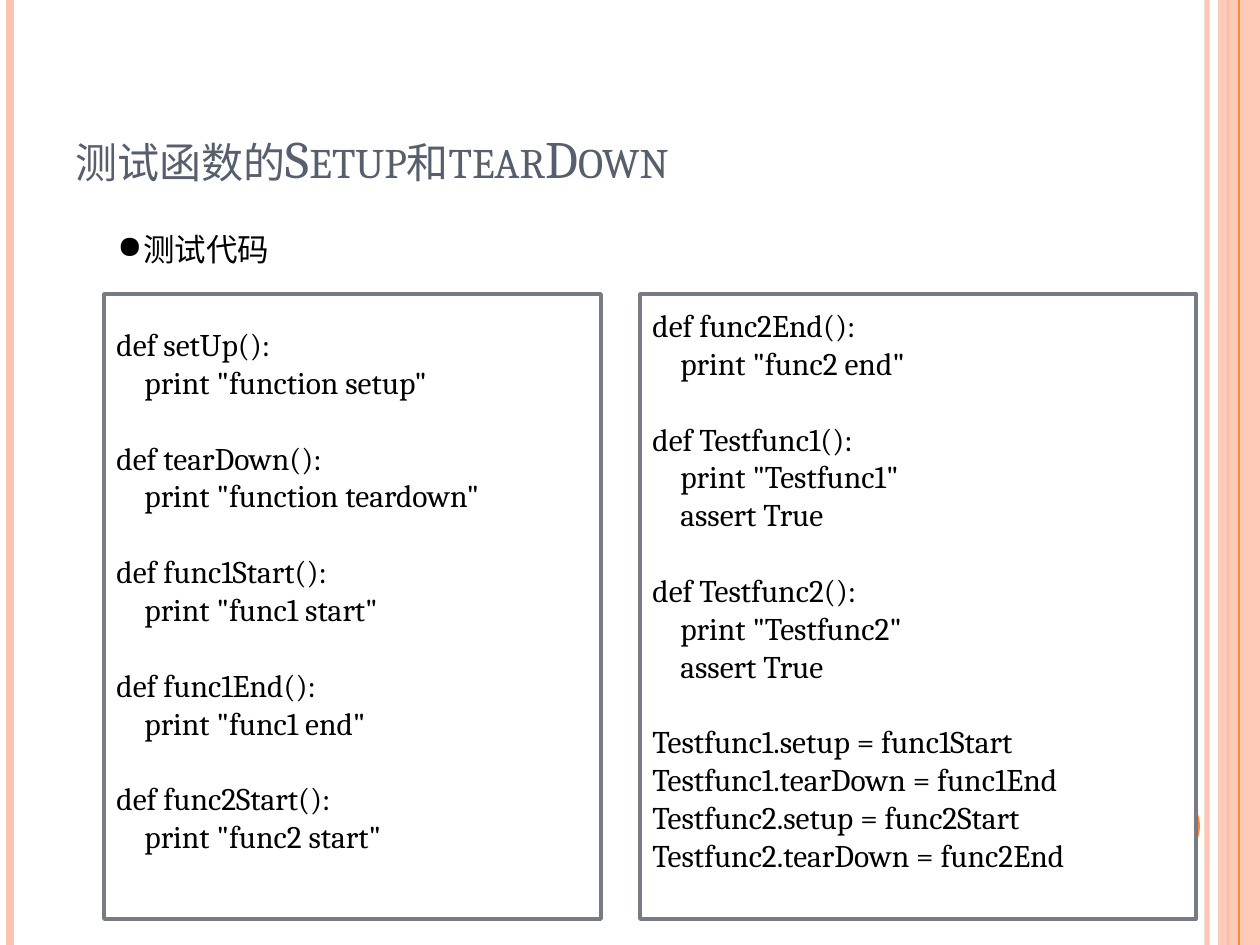
from lxml import etree
from pptx import Presentation
from pptx.dml.color import RGBColor
from pptx.enum.shapes import MSO_CONNECTOR, MSO_SHAPE
from pptx.enum.text import MSO_ANCHOR, MSO_AUTO_SIZE, PP_ALIGN
from pptx.oxml.ns import qn
from pptx.util import Emu, Pt

STRAIGHT = MSO_CONNECTOR.STRAIGHT
RECT, OVAL = MSO_SHAPE.RECTANGLE, MSO_SHAPE.OVAL
TOP, BOTTOM = MSO_ANCHOR.TOP, MSO_ANCHOR.BOTTOM
LEFT = PP_ALIGN.LEFT
NO_FIT = MSO_AUTO_SIZE.NONE
FONT = "Cambria"
WIDTH, HEIGHT = 1260, 945
WHITE, BLACK, PEACH, ORANGE = "FFFFFF", "000000", "FEC3AE", "FE8637"
SLATE, GREY = "575F6D", "777C84"
CODE_LEFT = [
    ["def setUp():", '    print "function setup"'],
    ["def tearDown():", '    print "function teardown"'],
    ["def func1Start():", '    print "func1 start"'],
    ["def func1End():", '    print "func1 end"'],
    ["def func2Start():", '    print "func2 start"'],
]
CODE_RIGHT = [
    ["def func2End():", '    print "func2 end"'],
    ["def Testfunc1():", '    print "Testfunc1"', "    assert True"],
    ["def Testfunc2():", '    print "Testfunc2"', "    assert True"],
    ["Testfunc1.setup = func1Start", "Testfunc1.tearDown = func1End",
     "Testfunc2.setup = func2Start", "Testfunc2.tearDown = func2End"],
]


def px(n):
    """Turn whole pixels into EMU."""
    return Emu(round(n * 914400 / 126))


def rgb(value):
    """Turn a hex string into a colour."""
    return RGBColor.from_string(value)


def set_alpha(s, percent):
    """Make the first colour of a shape partly transparent."""
    color = s.element.xpath(".//a:srgbClr")[0]
    etree.SubElement(color, qn("a:alpha"), val=str(percent * 1000))


def style_paragraph(p, size, color):
    """Left-align a paragraph and format its runs."""
    p.alignment = LEFT
    for r in p.runs:
        r.font.name = FONT
        r.font.size = Pt(size)
        r.font.color.rgb = rgb(color)


def add_rule(slide, x, color, width, alpha=100):
    """Draw a full-height vertical line."""
    s = slide.shapes.add_connector(STRAIGHT, px(x), 0, px(x), px(HEIGHT))
    s.line.color.rgb = rgb(color)
    s.line.width = Pt(width)
    etree.SubElement(s.element.spPr, qn("a:effectLst"))
    if alpha < 100:
        set_alpha(s, alpha)


def add_block(slide, kind, x, y, w, h, fill):
    """Add a flat filled shape without an outline."""
    s = slide.shapes.add_shape(kind, px(x), px(y), px(w), px(h))
    s.shadow.inherit = False
    s.fill.solid()
    s.fill.fore_color.rgb = rgb(fill)
    s.line.fill.background()
    return s


def add_title(slide, text):
    """Place and format the title placeholder."""
    s = slide.shapes.title
    s.left, s.top, s.width, s.height = px(63), px(38), px(1029), px(157)
    tf = s.text_frame
    tf.text = text
    tf.auto_size = NO_FIT
    tf.vertical_anchor = BOTTOM
    style_paragraph(tf.paragraphs[0], 30, SLATE)
    for rPr in s.element.xpath(".//a:rPr"):
        rPr.set("cap", "small")


def add_bullet(slide, text):
    """Add a text box with one bulleted line."""
    s = slide.shapes.add_textbox(px(105), px(224), px(427), px(51))
    tf = s.text_frame
    tf.word_wrap = True
    tf.text = text
    p = tf.paragraphs[0]
    style_paragraph(p, 18, BLACK)
    pPr = p._p.get_or_add_pPr()
    pPr.set("marL", str(px(26)))
    pPr.set("indent", str(-px(26)))
    etree.SubElement(pPr, qn("a:buChar"), char="●")


def add_code(slide, x, w, inset, groups):
    """Add an outlined box of code with a gap between groups."""
    s = add_block(slide, RECT, x, 294, w, 625, WHITE)
    s.line.color.rgb = rgb(GREY)
    s.line.width = Pt(2)
    tf = s.text_frame
    tf.word_wrap = True
    tf.vertical_anchor = TOP
    tf.margin_top = px(inset)
    tf.text = "\n".join(line.strip() for group in groups for line in group)
    lines = [(i, line) for group in groups for i, line in enumerate(group)]
    for n, (p, (i, line)) in enumerate(zip(tf.paragraphs, lines)):
        style_paragraph(p, 18, BLACK)
        if n and i == 0:
            p.space_before = px(38)
        if line.startswith(" "):
            p._p.get_or_add_pPr().set("marL", str(px(28)))


def main():
    """Build the slide and save it."""
    prs = Presentation()
    prs.slide_width, prs.slide_height = px(WIDTH), px(HEIGHT)
    slide = prs.slides.add_slide(prs.slide_layouts[5])
    slide.background.fill.solid()
    slide.background.fill.fore_color.rgb = rgb(WHITE)
    add_rule(slide, 1207, PEACH, 3, 93)
    add_rule(slide, 10, PEACH, 4.5)
    add_rule(slide, 1228, ORANGE, 1.5)
    set_alpha(add_block(slide, RECT, 1218, 0, 42, HEIGHT, PEACH), 87)
    add_rule(slide, 1239, ORANGE, 0.75)
    add_block(slide, OVAL, 1124, 788, 76, 76, ORANGE)
    add_title(slide, "测试函数的Setup和tearDown")
    add_code(slide, 104, 497, 31, CODE_LEFT)
    add_code(slide, 640, 556, 12, CODE_RIGHT)
    add_bullet(slide, "测试代码")
    prs.save("out.pptx")


if __name__ == "__main__":
    main()
